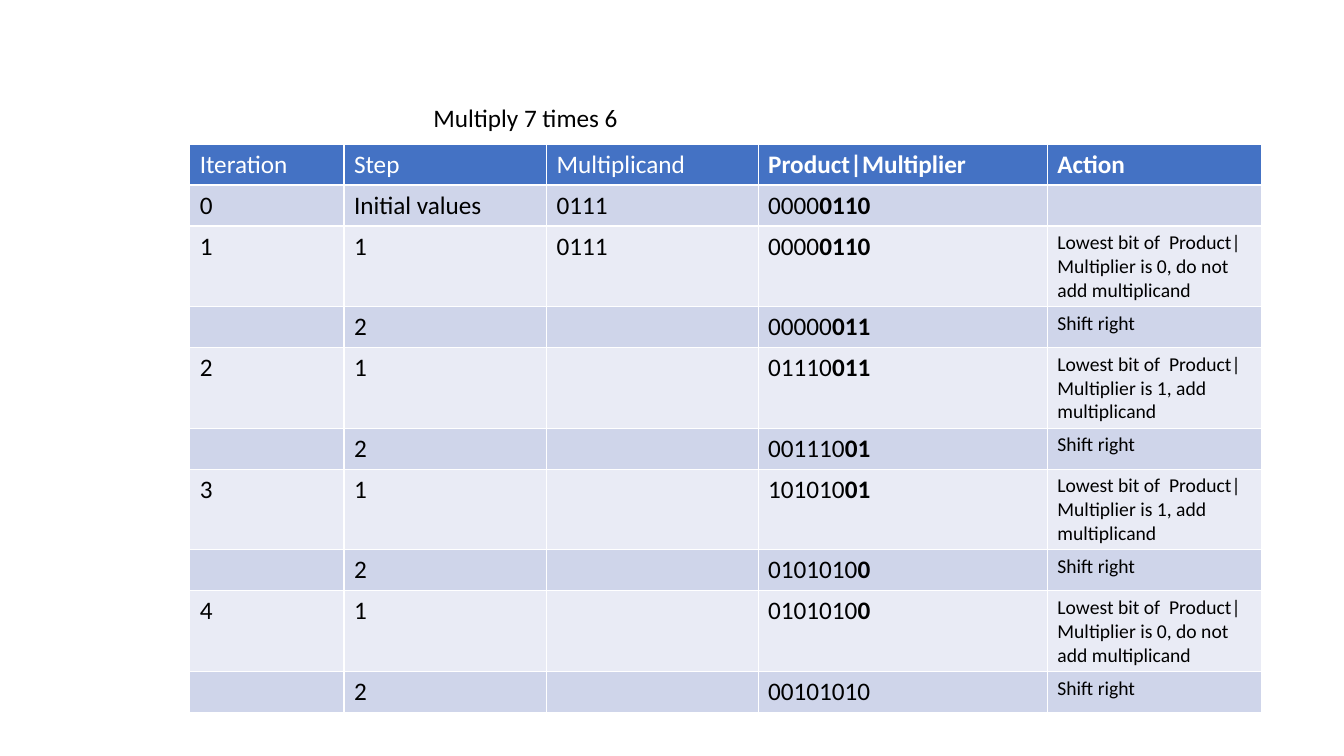
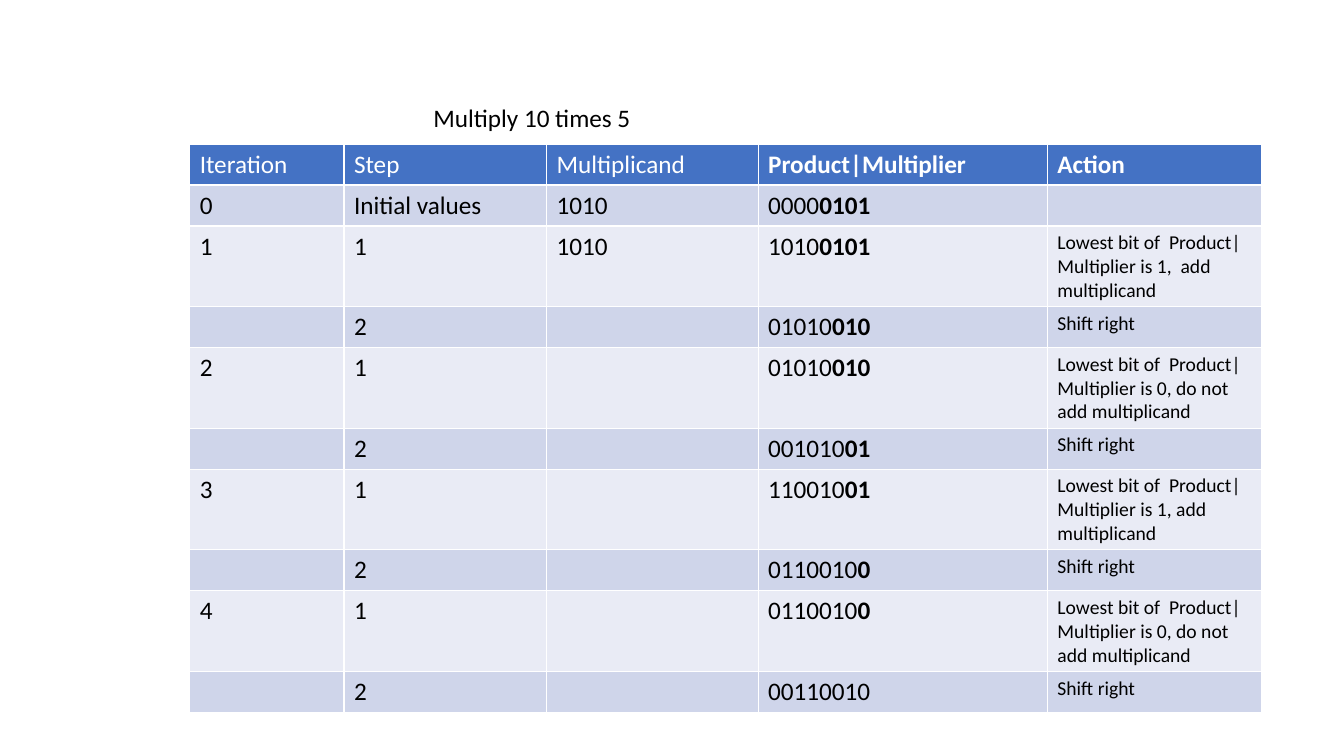
from pptx import Presentation
from pptx.dml.color import RGBColor
from pptx.enum import text
from pptx.util import Pt

SKIP = "Lowest bit of  Product|Multiplier is 0, do not add multiplicand"
ADD = "Lowest bit of  Product|Multiplier is 1, add multiplicand"
ADD_SPACED = "Lowest bit of  Product|Multiplier is 1,  add multiplicand"
SHIFT = "Shift right"

HEADERS = ["Iteration", "Step", "Multiplicand", "Product|Multiplier", "Action"]

# Each step holds the product bits, the remaining multiplier bits and the action.
EXAMPLES = [
    {
        "title": "Multiply 7 times 6",
        "title_width": 147.6,
        "multiplicand": "0111",
        "steps": [
            ("0000", "0110", ""),
            ("0000", "0110", SKIP),
            ("00000", "011", SHIFT),
            ("01110", "011", ADD),
            ("001110", "01", SHIFT),
            ("101010", "01", ADD),
            ("0101010", "0", SHIFT),
            ("0101010", "0", SKIP),
            ("00101010", "", SHIFT),
        ],
    },
    {
        "title": "Multiply 10 times 5",
        "title_width": 157,
        "multiplicand": "1010",
        "steps": [
            ("0000", "0101", ""),
            ("1010", "0101", ADD_SPACED),
            ("01010", "010", SHIFT),
            ("01010", "010", SKIP),
            ("001010", "01", SHIFT),
            ("110010", "01", ADD),
            ("0110010", "0", SHIFT),
            ("0110010", "0", SKIP),
            ("00110010", "", SHIFT),
        ],
    },
]

FONT = "Calibri"
BODY_SIZE, ACTION_SIZE = 18, 14
BLACK, WHITE = "000000", "FFFFFF"
HEADER_FILL = "4472C4"
BAND_FILLS = ["E9EBF5", "CFD5EA"]

SLIDE_SIZE = (960, 540)
TITLE_LEFT, TITLE_TOP, TITLE_HEIGHT = 302.4, 69.8, 29
TABLE_LEFT, TABLE_TOP = 135.5, 103
COLUMN_WIDTHS = [110.2, 144.7, 151.2, 206.6, 153.4]
ROW_HEIGHT = 29.2
PRODUCT_COLUMN, ACTION_COLUMN = 3, 4


def color(value):
    """Turn a hex string into a colour."""
    return RGBColor.from_string(value)


def format_run(run, size, font_color, bold=False):
    """Give one run its font, size, colour and weight."""
    run.font.name = FONT
    run.font.size = Pt(size)
    run.font.color.rgb = color(font_color)
    run.font.bold = bold


def fill_cell(cell, parts, fill, size=BODY_SIZE, font_color=BLACK):
    """Fill a cell and write its (text, bold) parts as runs."""
    cell.fill.solid()
    cell.fill.fore_color.rgb = color(fill)
    paragraph = cell.text_frame.paragraphs[0]
    for content, bold in parts:
        if content:
            run = paragraph.add_run()
            run.text = content
            format_run(run, size, font_color, bold)


def step_labels(index):
    """Return the iteration and step labels of a body row."""
    if index == 0:
        return "0", "Initial values"
    if index % 2:
        return str((index + 1) // 2), "1"
    return "", "2"


def add_title(slide, title, width):
    """Place and format the slide title above the table."""
    shape = slide.shapes.title
    shape.left, shape.top = Pt(TITLE_LEFT), Pt(TITLE_TOP)
    shape.width, shape.height = Pt(width), Pt(TITLE_HEIGHT)
    frame = shape.text_frame
    frame.text = title
    frame.word_wrap = False
    frame.auto_size = text.MSO_AUTO_SIZE.SHAPE_TO_FIT_TEXT
    frame.vertical_anchor = text.MSO_ANCHOR.TOP
    paragraph = frame.paragraphs[0]
    paragraph.alignment = text.PP_ALIGN.LEFT
    format_run(paragraph.runs[0], BODY_SIZE, BLACK)


def add_steps_table(slide, multiplicand, steps):
    """Add the table that traces the multiplication step by step."""
    row_count = len(steps) + 1
    table = slide.shapes.add_table(
        row_count, len(HEADERS), Pt(TABLE_LEFT), Pt(TABLE_TOP),
        Pt(sum(COLUMN_WIDTHS)), Pt(row_count * ROW_HEIGHT)).table
    for column, width in zip(table.columns, COLUMN_WIDTHS):
        column.width = Pt(width)
    for row in table.rows:
        row.height = Pt(ROW_HEIGHT)

    for column, header in enumerate(HEADERS):
        parts = [(header, column >= PRODUCT_COLUMN)]
        fill_cell(table.cell(0, column), parts, HEADER_FILL, font_color=WHITE)

    for index, (product, multiplier, action) in enumerate(steps):
        iteration, step = step_labels(index)
        shown_multiplicand = multiplicand if index < 2 else ""
        row_parts = [
            [(iteration, False)],
            [(step, False)],
            [(shown_multiplicand, False)],
            [(product, False), (multiplier, True)],
            [(action, False)],
        ]
        row = index + 1
        for column, parts in enumerate(row_parts):
            size = ACTION_SIZE if column == ACTION_COLUMN else BODY_SIZE
            fill_cell(table.cell(row, column), parts, BAND_FILLS[row % 2], size)


def build():
    """Build one slide per worked example and save the presentation."""
    presentation = Presentation()
    presentation.slide_width, presentation.slide_height = map(Pt, SLIDE_SIZE)
    title_only = presentation.slide_layouts[5]
    for example in EXAMPLES:
        slide = presentation.slides.add_slide(title_only)
        add_steps_table(slide, example["multiplicand"], example["steps"])
        add_title(slide, example["title"], example["title_width"])
    presentation.save("out.pptx")


build()
